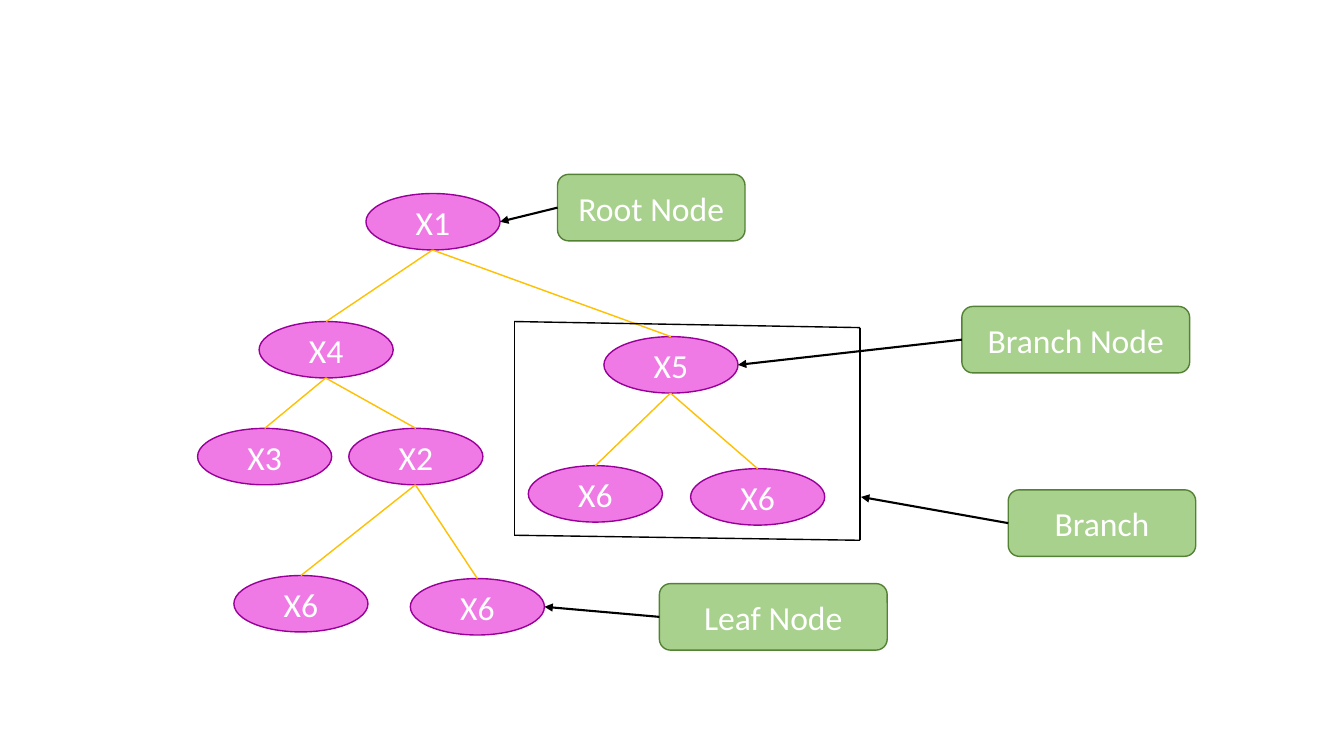
from itertools import pairwise

from pptx import Presentation
from pptx.dml.color import RGBColor
from pptx.enum.shapes import MSO_CONNECTOR as LINK, MSO_SHAPE as SHAPE
from pptx.enum.text import MSO_ANCHOR as ANCHOR, PP_ALIGN as ALIGN
from pptx.oxml import parse_xml
from pptx.oxml.ns import nsdecls
from pptx.util import Pt

PX = 9144  # EMU, 100 px to the inch
PINK = RGBColor(0xF0, 0x7A, 0xE5)
PURPLE = RGBColor(0x99, 0x00, 0x99)
GREEN = RGBColor(0xA9, 0xD1, 0x8E)
MOSS = RGBColor(0x54, 0x82, 0x35)
GOLD = RGBColor(0xFF, 0xC0, 0x00)
BLACK = RGBColor(0, 0, 0)
WHITE = RGBColor(0xFF, 0xFF, 0xFF)

NODE_W, NODE_H = 133, 56
TAG_H = 66

# key: text, left, top, key of the parent
NODES = {
    "root": ("X1", 363, 192, None),
    "left": ("X4", 257, 319, "root"),
    "right": ("X5", 599, 334, "root"),
    "x3": ("X3", 196, 425, "left"),
    "x2": ("X2", 346, 425, "left"),
    "leaf1": ("X6", 232, 571, "x2"),
    "leaf2": ("X6", 407, 574, "x2"),
    "leaf3": ("X6", 524, 462, "right"),
    "leaf4": ("X6", 685, 465, "right"),
}
FRAME = [(510, 319), (853, 325), (853, 536), (510, 531)]
BRANCH_TIP = (854, 493)
# text, left, top, width, key of the node it names (None for the frame)
TAGS = [
    ("Root Node", 553, 173, 186, "root"),
    ("Branch Node", 954, 304, 226, "right"),
    ("Leaf Node", 654, 579, 226, "leaf2"),
    ("Branch", 1000, 486, 186, None),
]


def write(shape, text, *, size=24, color=WHITE, name="Calibri"):
    frame = shape.text_frame
    frame.vertical_anchor = ANCHOR.MIDDLE
    para = frame.paragraphs[0]
    para.alignment = ALIGN.CENTER
    run = para.add_run()
    run.text = text
    run.font.size = Pt(size)
    run.font.name = name
    run.font.color.rgb = color


def add_box(slide, kind, text, left, top, width, height, fill, edge):
    shape = slide.shapes.add_shape(
        kind, left * PX, top * PX, width * PX, height * PX)
    shape.shadow.inherit = False
    shape.fill.solid()
    shape.fill.fore_color.rgb = fill
    shape.line.color.rgb = edge
    shape.line.width = Pt(1)
    write(shape, text)
    return shape


def add_line(slide, start, end, color, width=1, arrow=False):
    line = slide.shapes.add_connector(
        LINK.STRAIGHT, *(n * PX for n in (*start, *end)))
    line.line.color.rgb = color
    line.line.width = Pt(width)
    if arrow:
        line.line._get_or_add_ln().append(
            parse_xml(f'<a:tailEnd {nsdecls("a")} type="triangle"/>'))
    line._element.spPr.append(parse_xml(f'<a:effectLst {nsdecls("a")}/>'))
    return line


def add_tree(slide):
    for text, left, top, parent in NODES.values():
        node = add_box(slide, SHAPE.OVAL, text, left, top,
                       NODE_W, NODE_H, PINK, PURPLE)
        if parent:
            _, up_left, up_top, _ = NODES[parent]
            half = NODE_W // 2
            edge = add_line(slide, (up_left + half, up_top + NODE_H),
                            (left + half, top), GOLD)
            edge.end_connect(node, 0)


def add_frame(slide):
    for start, end in pairwise(FRAME + FRAME[:1]):
        add_line(slide, start, end, BLACK)


def add_tags(slide):
    for text, left, top, width, key in TAGS:
        tag = add_box(slide, SHAPE.ROUNDED_RECTANGLE, text, left, top,
                      width, TAG_H, GREEN, MOSS)
        tip = BRANCH_TIP
        if key:
            _, x, y, _ = NODES[key]
            tip = (x + NODE_W, y + NODE_H // 2)
        arrow = add_line(slide, (left, top + TAG_H // 2), tip,
                         BLACK, width=1.5, arrow=True)
        arrow.begin_connect(tag, 1)


def main():
    deck = Presentation()
    deck.slide_width = 1333 * PX
    deck.slide_height = 750 * PX
    slide = deck.slides.add_slide(deck.slide_layouts[6])
    add_tree(slide)
    add_frame(slide)
    add_tags(slide)
    deck.save("out.pptx")


if __name__ == "__main__":
    main()
